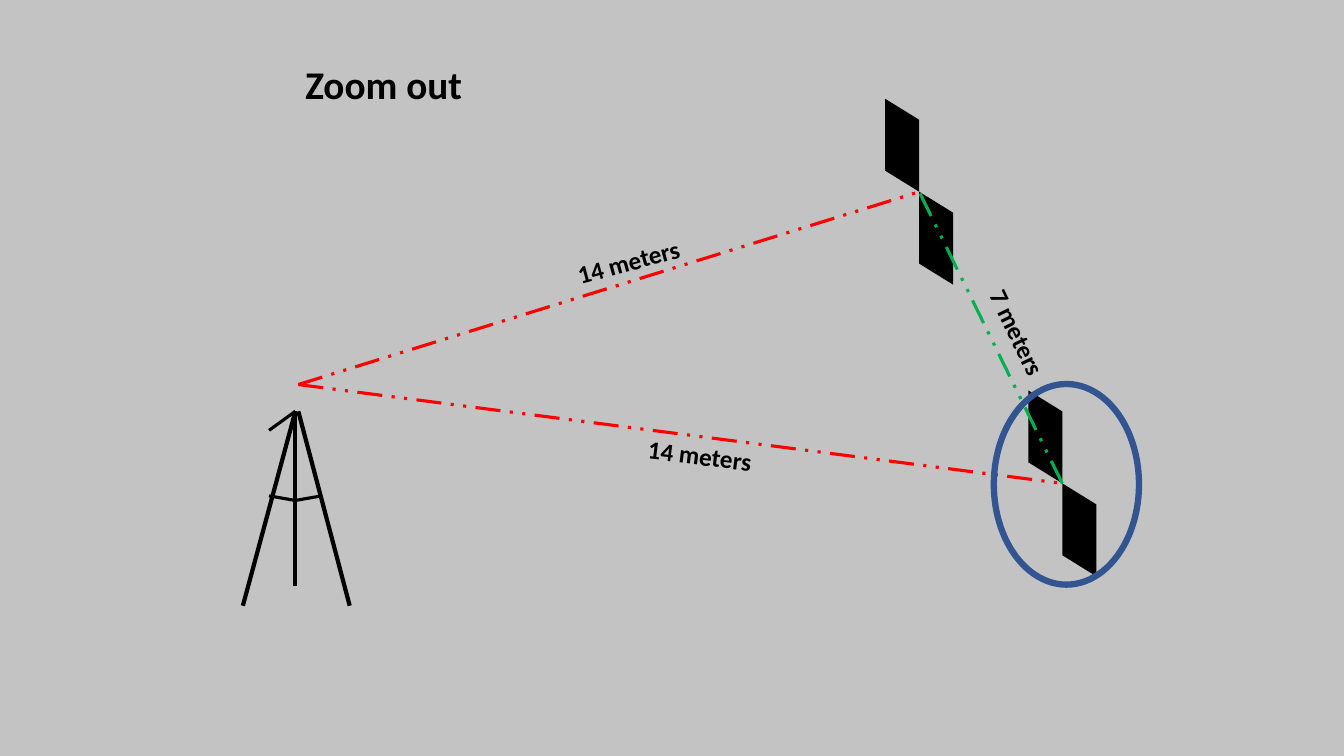
"""Build the "Zoom out" slide: a tripod sighting two targets."""
from lxml import etree
from pptx import Presentation
from pptx.dml.color import RGBColor
from pptx.enum.dml import MSO_LINE
from pptx.enum.shapes import MSO_CONNECTOR as CONN, MSO_SHAPE as SHAPE
from pptx.enum.text import MSO_ANCHOR as ANCHOR, PP_ALIGN as ALIGN
from pptx.oxml.ns import qn
from pptx.util import Pt

COLORS = {"bg": "C3C3C4", "ink": "000000", "sight": "FF0000",
          "gap": "00B050", "ring": "325491"}
FONT = "Calibri"
TITLE = ("Zoom out", 139, 39.6, 270, 41)
APEX = (211, 293.8)
FOOT = (213.1, 293.8)
HUB = (211, 357.5)
TRIPOD = [
    ((173.5, 432.7), APEX, 3),
    ((249.8, 432.7), FOOT, 3),
    ((211, 418.3), APEX, 3),
    (HUB, (192.2, 354.2), 2.25),
    (HUB, (229.7, 354.2), 2.25),
    (APEX, (192.2, 307.4), 2.25),
]
CAMERA = (213.1, 274.7)
FAR, NEAR = (656.6, 137), (758.8, 345.3)
SIGHTS = [(CAMERA, FAR, "sight"), (CAMERA, NEAR, "sight"), (NEAR, FAR, "gap")]
LABELS = [
    ("14 meters", 404.6, 172.1, 344.9),
    ("14 meters", 455.8, 311, 7),
    ("7 meters", 684, 228.2, 64.3),
]
LABEL_W, LABEL_H = 90.7, 28.8
PANEL_W, PANEL_H, SLANT = 24.3, 51.4, 15
RING = (709.9, 274.3, 103.7, 143.3)


def color(key):
    return RGBColor.from_string(COLORS[key])


def add_line(slide, start, end, key, width, dash=None):
    ln = slide.shapes.add_connector(CONN.STRAIGHT, *map(Pt, start + end))
    ln.line.color.rgb = color(key)
    ln.line.width = Pt(width)
    if dash:
        ln.line.dash_style = dash
    etree.SubElement(ln.element.spPr, qn("a:effectLst"))


def add_target(slide, center):
    cx, cy = center
    for x, y in ((cx - PANEL_W, cy - PANEL_H - SLANT), (cx, cy)):
        right = x + PANEL_W
        corners = [(right, y + SLANT), (right, y + SLANT + PANEL_H),
                   (x, y + PANEL_H)]
        fb = slide.shapes.build_freeform(Pt(x), Pt(y))
        fb.add_line_segments([(Pt(a), Pt(b)) for a, b in corners])
        sp = fb.convert_to_shape()
        sp.shadow.inherit = False
        sp.fill.solid()
        sp.fill.fore_color.rgb = color("ink")
        sp.line.fill.background()


def write(sp, text, size, align):
    tf = sp.text_frame
    tf.word_wrap = True
    tf.vertical_anchor = ANCHOR.TOP
    tf.text = text
    p = tf.paragraphs[0]
    p.alignment = align
    p.line_spacing = 1.0
    font = p.runs[0].font
    font.name, font.size, font.bold = FONT, Pt(size), True
    font.color.rgb = color("ink")


def main():
    prs = Presentation()
    prs.slide_width, prs.slide_height = Pt(960), Pt(540)
    slide = prs.slides.add_slide(prs.slide_layouts[5])
    slide.background.fill.solid()
    slide.background.fill.fore_color.rgb = color("bg")

    text, *box = TITLE
    title = slide.shapes.title
    title.left, title.top, title.width, title.height = map(Pt, box)
    write(title, text, 28, ALIGN.CENTER)

    for start, end, width in TRIPOD:
        add_line(slide, start, end, "ink", width)
    for center in (FAR, NEAR):
        add_target(slide, center)
    for start, end, key in SIGHTS:
        add_line(slide, start, end, key, 2.25, MSO_LINE.DASH_DOT_DOT)

    for text, x, y, angle in LABELS:
        tb = slide.shapes.add_textbox(*map(Pt, (x, y, LABEL_W, LABEL_H)))
        tb.rotation = angle
        write(tb, text, 18, ALIGN.LEFT)

    ring = slide.shapes.add_shape(SHAPE.OVAL, *map(Pt, RING))
    ring.shadow.inherit = False
    ring.fill.background()
    ring.line.color.rgb = color("ring")
    ring.line.width = Pt(4.5)

    prs.save("out.pptx")


if __name__ == "__main__":
    main()
